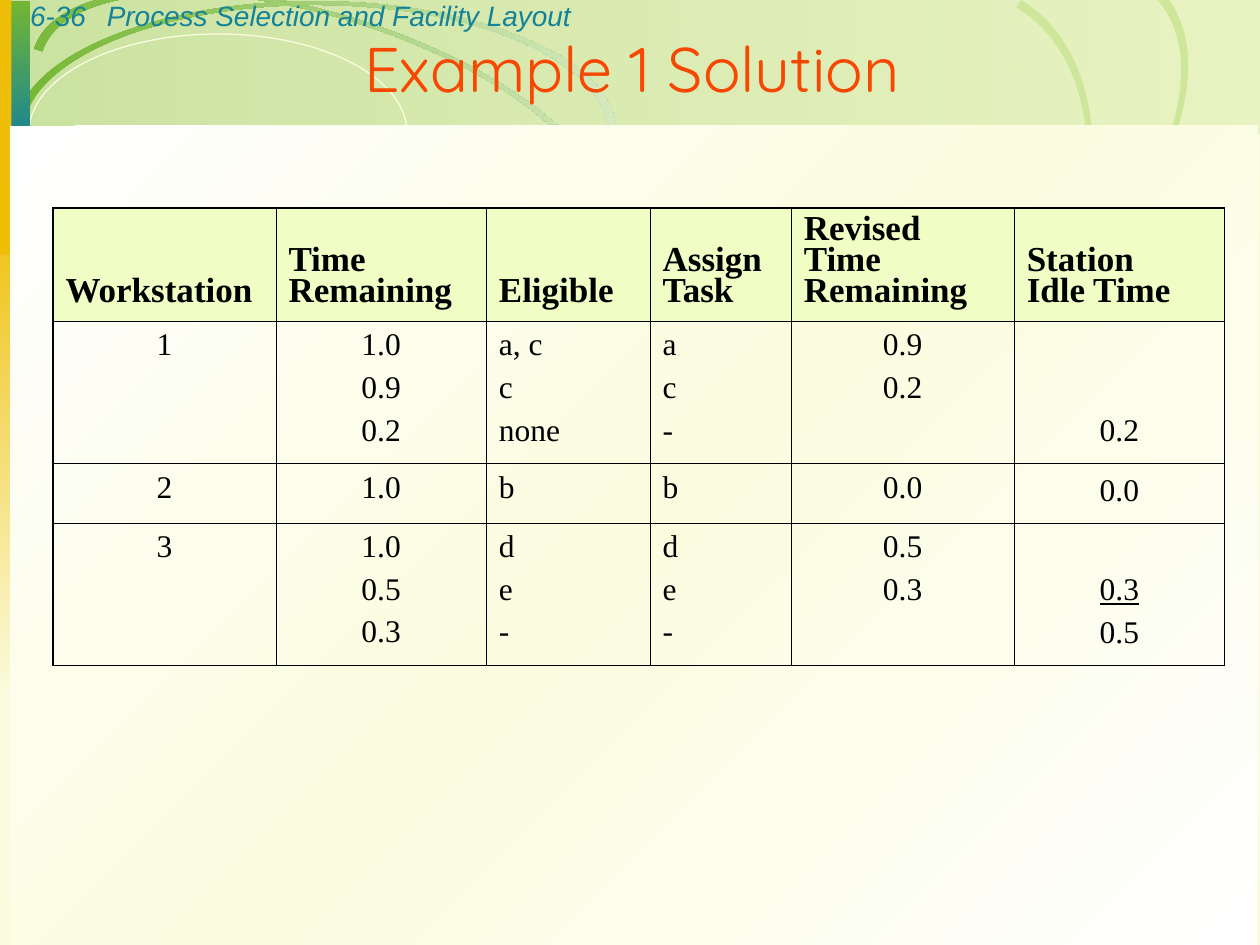
import lxml.etree
import pptx
import pptx.dml.color
import pptx.enum.shapes
import pptx.enum.text
import pptx.oxml
import pptx.oxml.ns
import pptx.util

Inches = pptx.util.Inches
Pt = pptx.util.Pt
RGBColor = pptx.dml.color.RGBColor
SHAPE = pptx.enum.shapes.MSO_SHAPE
ALIGN = pptx.enum.text.PP_ALIGN
ANCHOR = pptx.enum.text.MSO_ANCHOR
qn = pptx.oxml.ns.qn

CREAM = RGBColor(0xFB, 0xFC, 0xDF)
WHITE = RGBColor(0xFF, 0xFF, 0xFF)
BLACK = RGBColor(0, 0, 0)
GREEN = RGBColor(0x74, 0xB6, 0x32)
LIME = RGBColor(0xBC, 0xDD, 0x7B)
MIST = RGBColor(0xD5, 0xE9, 0xC1)
LEAF = RGBColor(0xCD, 0xE6, 0x9A)
OLIVE = RGBColor(0xCE, 0xDE, 0x73)
TEAL = RGBColor(0x14, 0x82, 0x98)
GOLD = RGBColor(0xEF, 0xBE, 0x09)
ORANGE = RGBColor(0xF8, 0x47, 0x00)
HEADER = RGBColor(0xF0, 0xFD, 0xC5)


def paint(sp, colors, angle=0, alphas=(100, 100, 100)):
    sp.shadow.inherit = False
    sp.line.fill.background()
    if len(colors) == 1:
        sp.fill.solid()
        sp.fill.fore_color.rgb = colors[0]
        return
    sp.fill.gradient()
    sp.fill.gradient_angle = -angle % 360
    gs_list = sp.fill._fill._gradFill.find(qn("a:gsLst"))
    for gs in list(gs_list):
        gs_list.remove(gs)
    for i, (color, alpha) in enumerate(zip(colors, alphas)):
        gs = lxml.etree.SubElement(gs_list, qn("a:gs"), pos=str(100000 * i // (len(colors) - 1)))
        clr = lxml.etree.SubElement(gs, qn("a:srgbClr"), val=str(color))
        if alpha < 100:
            lxml.etree.SubElement(clr, qn("a:alpha"), val=str(alpha * 1000))


def write(p, text, color, fmt, align=ALIGN.LEFT):
    p.text = text
    p.alignment = align
    for r in p.runs:
        r.font.color.rgb = color
        for name, value in fmt.items():
            setattr(r.font, name, value)


prs = pptx.Presentation()
prs.slide_width, prs.slide_height = Inches(10), Inches(7.5)
s = prs.slides.add_slide(prs.slide_layouts[6])
s.background.fill.solid()
s.background.fill.fore_color.rgb = CREAM

band = s.shapes.add_shape(SHAPE.RECTANGLE, Inches(0.01), 0, Inches(10), Inches(1.06))
paint(band, [GREEN, LIME], 0, (36, 29))

oval = s.shapes.add_shape(SHAPE.OVAL, Inches(0.23), Inches(0.27), Inches(3), Inches(1.56))
oval.shadow.inherit = False
oval.fill.background()
oval.line.color.rgb = CREAM
oval.line.width = Pt(0.75)

ARC_WIDTH = 4.77
KAPPA = 0.55
for left, top, height, rotation, side, colors, angle in [
    (0.16, 0.11, 1.99, 17.5, -1, [GREEN, MIST], 342),
    (5.07, 0.24, 2.59, 318.2, 1, [LEAF], 0),
    (4.5, 0.52, 3.06, 300.7, 1, [LEAF], 0),
    (0.12, 0.01, 2.07, 0, -1, [GREEN, MIST], 0),
]:
    x, y = Inches(left), Inches(top)
    builder = s.shapes.build_freeform(x, y)
    builder.add_line_segments([(x + Inches(ARC_WIDTH), y + Inches(height))], close=True)
    arc = builder.convert_to_shape()
    outline = next(arc._element.iter(qn("a:path")))
    for command in list(outline):
        outline.remove(command)
    rx, ry = ARC_WIDTH / 2, height / 2
    ix, iy = rx - 0.07, ry - 0.03
    for tag, points in [
        ("moveTo", [(-ix, 0)]),
        ("cubicBezTo", [(-ix, iy * KAPPA), (-ix * KAPPA, iy), (0, iy)]),
        ("cubicBezTo", [(ix * KAPPA, iy), (ix, iy * KAPPA), (ix, 0)]),
        ("lnTo", [(rx, 0)]),
        ("cubicBezTo", [(rx, ry * KAPPA), (rx * KAPPA, ry), (0, ry)]),
        ("cubicBezTo", [(-rx * KAPPA, ry), (-rx, ry * KAPPA), (-rx, 0)]),
        ("lnTo", [(-ix, 0)]),
        ("close", []),
    ]:
        command = lxml.etree.SubElement(outline, qn("a:" + tag))
        for px, py in points:
            lxml.etree.SubElement(command, qn("a:pt"), x=str(Inches(rx + px)), y=str(Inches(ry + side * py)))
    arc.rotation = rotation
    paint(arc, colors, angle)

for box, colors, angle in [
    ((0, 1.55, 0.22, 4.01), [GOLD, CREAM], 90),
    ((0.01, 0.01, 0.23, 1.14), [GREEN, TEAL], 90),
    ((0.08, 1.06, 1.84, 0.08), [TEAL, OLIVE], 0),
    ((0, 0, 0.09, 2.02), [GOLD], 0),
    ((1.9, 1.06, 1.84, 0.08), [OLIVE, GOLD], 0),
    ((3.73, 1.06, 1.84, 0.08), [GOLD, ORANGE], 0),
    ((5.55, 1.06, 3.65, 0.08), [ORANGE, CREAM], 0),
    ((0.08, 1, 9.9, 6.5), [WHITE, CREAM, WHITE], 45),
]:
    paint(s.shapes.add_shape(SHAPE.RECTANGLE, *map(Inches, box)), colors, angle)

running = {"name": "Arial", "size": Pt(16), "italic": True}
heading = {"name": "Quicksand", "size": Pt(36)}
for text, box, color, fmt, align in [
    ("6-36", (0.14, -0.06, 0.83, 0.37), TEAL, running, ALIGN.LEFT),
    ("Process Selection and Facility Layout", (0.75, -0.06, 8.5, 0.37), TEAL, running, ALIGN.LEFT),
    ("Example 1 Solution", (0.03, 0.34, 9.97, 0.39), ORANGE, heading, ALIGN.CENTER),
]:
    tf = s.shapes.add_textbox(*map(Inches, box)).text_frame
    tf.word_wrap = True
    tf.vertical_anchor = ANCHOR.MIDDLE
    write(tf.paragraphs[0], text, color, fmt, align)

rows = [
    ["Workstation", "Time\vRemaining", "Eligible", "Assign\vTask", "Revised\vTime\vRemaining", "Station\vIdle Time"],
    ["1", "1.0\n0.9\n0.2", "a, c\nc\nnone", "a\nc\n-", "0.9\n0.2", "0.2"],
    ["2", "1.0", "b", "b", "0.0", "0.0"],
    ["3", "1.0\n0.5\n0.3", "d\ne\n-", "d\ne\n-", "0.5\n0.3", "0.3\n0.5"],
]
col_widths = [1.77, 1.67, 1.3, 1.12, 1.77, 1.67]
row_heights = [0.9, 1.13, 0.46, 1.13]
last_row, last_col = len(rows) - 1, len(col_widths) - 1
head_font = {"name": "Times New Roman", "size": Pt(20), "bold": True}
body_font = {"name": "Times New Roman", "size": Pt(18), "bold": False}

table = s.shapes.add_table(len(rows), len(col_widths), Inches(0.42), Inches(1.65),
                           Inches(sum(col_widths)), Inches(sum(row_heights))).table
table.first_row = table.horz_banding = False
for col, width in zip(table.columns, col_widths):
    col.width = Inches(width)
for row, height in zip(table.rows, row_heights):
    row.height = Inches(height)

for i, row in enumerate(rows):
    for j, text in enumerate(row):
        cell = table.cell(i, j)
        edges = {"L": j == 0, "R": j == last_col, "T": i == 0, "B": i == last_row}
        for side, outer in edges.items():
            ln = lxml.etree.SubElement(cell._tc.get_or_add_tcPr(), qn("a:ln" + side),
                                       w=str(Pt(1.08 if outer else 0.45)))
            fill = lxml.etree.SubElement(ln, qn("a:solidFill"))
            lxml.etree.SubElement(fill, qn("a:srgbClr"), val=str(BLACK))
        if i == 0:
            cell.fill.solid()
            cell.fill.fore_color.rgb = HEADER
            cell.vertical_anchor = ANCHOR.BOTTOM
            cell.margin_top, cell.margin_bottom = 0, Inches(0.1)
        else:
            cell.fill.background()
            if j == last_col:
                cell.vertical_anchor = ANCHOR.BOTTOM
                cell.margin_bottom = Inches(0.12)
        tf = cell.text_frame
        for k, line in enumerate(text.split("\n")):
            p = tf.add_paragraph() if k else tf.paragraphs[0]
            centered = i > 0 and j not in (2, 3)
            write(p, line, BLACK, body_font if i else head_font, ALIGN.CENTER if centered else ALIGN.LEFT)
            if i == 0:
                p.line_spacing = 0.8
            if k:
                p.space_before = Pt(4.5)
table.cell(last_row, last_col).text_frame.paragraphs[0].runs[0].font.underline = True

prs.save("out.pptx")
